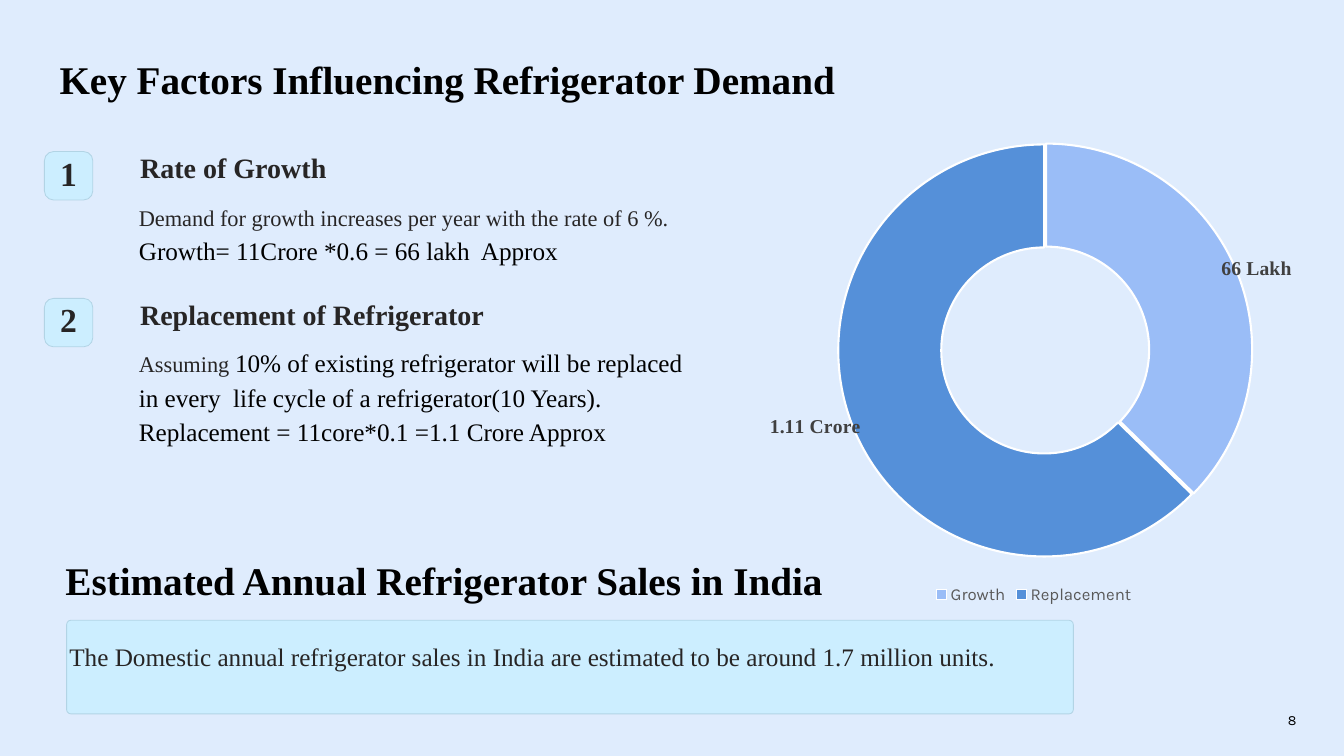
"""Build the slide on the factors behind refrigerator demand."""
from lxml.etree import SubElement
from pptx import Presentation
from pptx.chart.data import CategoryChartData
from pptx.dml.color import RGBColor
from pptx.enum.chart import XL_CHART_TYPE as ChartType, XL_LEGEND_POSITION as LegendPosition
from pptx.enum.shapes import MSO_SHAPE as Shape
from pptx.enum.text import MSO_ANCHOR as Anchor, PP_ALIGN as Align
from pptx.oxml import parse_xml
from pptx.oxml.ns import nsdecls, qn
from pptx.util import Cm, Pt

SERIF, SANS = "Times New Roman", "Karla"
BLACK, INK = "000000", "272525"


def paint(color_owner, color):
    """Give a fill or a font a solid hex colour."""
    if hasattr(color_owner, "solid"):
        color_owner.solid()
        color_owner = color_owner.fore_color
    else:
        color_owner = color_owner.color
    color_owner.rgb = RGBColor.from_string(color)


def write(holder, box, paragraphs, spacing=None, align=Align.LEFT, wrap=False, anchor=Anchor.TOP):
    """Place a text holder and fill it with (text, size, colour, bold, font) runs."""
    holder.left, holder.top, holder.width, holder.height = map(Cm, box)
    frame = holder.text_frame
    frame.word_wrap = wrap
    frame.vertical_anchor = anchor
    frame.margin_left = frame.margin_top = frame.margin_right = frame.margin_bottom = 0
    for index, runs in enumerate(paragraphs):
        paragraph = frame.add_paragraph() if index else frame.paragraphs[0]
        paragraph.alignment = align
        if spacing:
            paragraph.line_spacing = Pt(spacing)
        for text, size, color, bold, font in runs:
            run = paragraph.add_run()
            run.text = text
            run.font.size, run.font.bold, run.font.name = Pt(size), bold, font
            paint(run.font, color)


deck = Presentation()
deck.slide_width, deck.slide_height = Cm(33.87), Cm(19.05)
slide = deck.slides.add_slide(deck.slide_layouts[5])
paint(slide.background.fill, "DFECFD")
shapes = slide.shapes

write(shapes.title, (1.5, 0.81, 29.44, 1.78),
      [[("Key Factors Influencing Refrigerator Demand", 28, BLACK, True, SERIF)]], 50)

panels = [(1.12, 3.82, 1.22, 1.22, 0.187), (1.12, 7.52, 1.22, 1.22, 0.187),
          (1.68, 15.63, 25.37, 2.36, 0.046)]
for left, top, width, height, rounding in panels:
    panel = shapes.add_shape(Shape.ROUNDED_RECTANGLE, Cm(left), Cm(top), Cm(width), Cm(height))
    panel.adjustments[0] = rounding
    panel.shadow.inherit = False
    paint(panel.fill, "CCEEFF")
    paint(panel.line.fill, "B2D4E5")
    panel.line.width = Pt(0.6)

factors = [
    ("Rate of Growth", 15.11, 2.03, [
        [("Demand for growth increases per year with the rate of 6 %.", 16, INK, False, SERIF)],
        [("Growth= 11Crore *0.6 = 66 lakh  Approx", 18, BLACK, False, SERIF)]]),
    ("Replacement of Refrigerator", 13.97, 4.88, [
        [("Assuming ", 16, INK, False, SERIF),
         ("10% of existing refrigerator will be replaced", 18, BLACK, False, SERIF)],
        [("in every  life cycle of a refrigerator(10 Years).", 18, BLACK, False, SERIF)],
        [("Replacement = 11core*0.1 =1.1 Crore Approx", 18, BLACK, False, SERIF)]]),
]
for number, (heading, width, height, details) in enumerate(factors, 1):
    top = panels[number - 1][1]
    write(shapes.add_textbox(0, 0, 0, 0), (1.12, top + 0.19, 1.22, 0.86),
          [[(str(number), 24, INK, True, SERIF)]], 24, Align.CENTER)
    write(shapes.add_textbox(0, 0, 0, 0), (3.53, top - 0.07, 9, 0.89),
          [[(heading, 20, INK, True, SERIF)]], 25)
    write(shapes.add_textbox(0, 0, 0, 0), (3.5, top + 1.14, width, height), details, 24.5)

write(shapes.add_textbox(0, 0, 0, 0), (1.65, 13.14, 32, 4.14),
      [[("Estimated Annual Refrigerator Sales in India", 28, BLACK, True, SERIF)]], 58.5, wrap=True)
write(shapes.add_textbox(0, 0, 0, 0), (1.75, 15.92, 26.29, 2.03),
      [[("The Domestic annual refrigerator sales in India are estimated to be around "
         "1.7 million units.", 18, INK, False, SERIF)]], 28.5, wrap=True)

demand = CategoryChartData()
demand.categories = ["Growth", "Replacement"]
demand.add_series("Series 1", (6600000, 11100000))
chart = shapes.add_chart(ChartType.DOUGHNUT, Cm(18.26), Cm(2.06), Cm(15.6), Cm(13.28), demand).chart
chart.has_title = False
chart.font.size, chart.font.name = Pt(10), SANS
paint(chart.font, BLACK)
chart.has_legend = True
legend = chart.legend
legend.position, legend.include_in_layout = LegendPosition.BOTTOM, False
legend.font.size, legend.font.name = Pt(12), SANS
paint(legend.font, "595959")

doughnut = chart.plots[0]
doughnut.vary_by_categories = True
sales = doughnut.series[0]
value_labels = sales.data_labels
value_labels.show_value, value_labels.show_percentage = True, False
value_labels.font.size, value_labels.font.name = Pt(12), SANS
paint(value_labels.font, "404040")
slices = [("66 Lakh", "9ABDF7", 0.11, -0.04), ("1.11 Crore", "5590D9", -0.14, 0.03)]
for index, (caption, color, shift_x, shift_y) in enumerate(slices):
    point = sales.points[index]
    paint(point.format.fill, color)
    paint(point.format.line.fill, "FFFFFF")
    point.format.line.width = Pt(1.5)
    run = point.data_label.text_frame.paragraphs[0].add_run()
    run.text = caption
    run.font.size, run.font.bold, run.font.name = Pt(14), True, SERIF
    paint(run.font, "404040")
    label = chart.element.xpath(f".//c:ser/c:dLbls/c:dLbl[c:idx/@val='{index}']")[0]
    label.find(qn("c:idx")).addnext(parse_xml(
        f'<c:layout {nsdecls("c")}><c:manualLayout><c:x val="{shift_x}"/>'
        f'<c:y val="{shift_y}"/></c:manualLayout></c:layout>'))

growth_slice = chart.element.xpath(".//c:dPt[c:idx/@val='0']/c:spPr")[0]
growth_slice.addprevious(parse_xml(f'<c:explosion {nsdecls("c")} val="2"/>'))
chart.element.xpath(".//c:holeSize")[0].set("val", "75")

plot_area = chart.element.xpath(".//c:plotArea")[0]
for old_layout in plot_area.findall(qn("c:layout")):
    plot_area.remove(old_layout)
plot_layout = parse_xml(f'<c:layout {nsdecls("c")}><c:manualLayout/></c:layout>')
for tag, value in [("layoutTarget", "inner"), ("xMode", "edge"), ("yMode", "edge"),
                   ("x", "0.183"), ("y", "0.119"), ("w", "0.667"), ("h", "0.782")]:
    SubElement(plot_layout[0], qn(f"c:{tag}")).set("val", value)
plot_area.insert(0, plot_layout)

write(shapes.add_textbox(0, 0, 0, 0), (30.33, 17.74, 2.34, 0.79),
      [[("8", 10, BLACK, False, SANS)]], align=Align.RIGHT, wrap=True, anchor=Anchor.MIDDLE)

deck.save("out.pptx")
